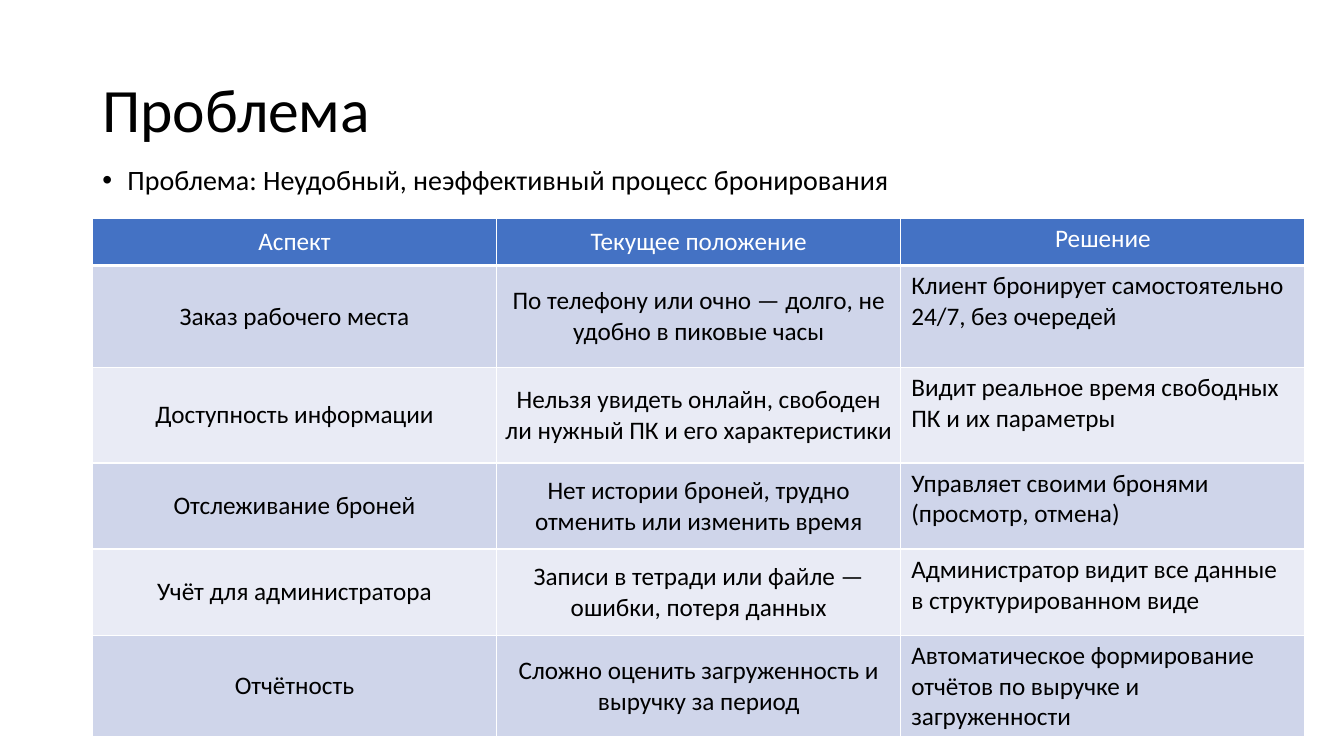
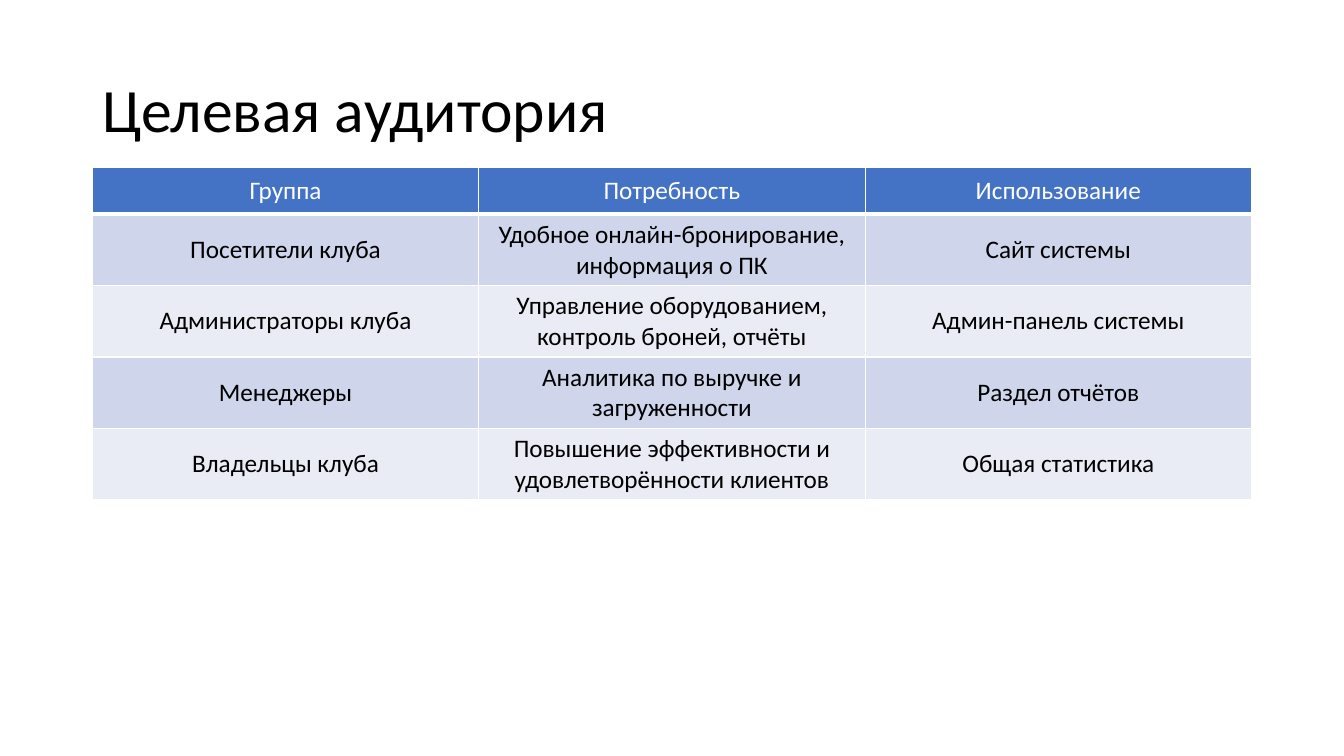
from lxml import etree
from pptx import Presentation
from pptx.dml.color import RGBColor
from pptx.enum.text import MSO_ANCHOR, PP_ALIGN
from pptx.oxml.ns import qn
from pptx.util import Pt

PX = 9525
FONT = "Calibri"
BLACK = RGBColor(0x00, 0x00, 0x00)
WHITE = RGBColor(0xFF, 0xFF, 0xFF)
HEADER_BLUE = RGBColor(0x44, 0x72, 0xC4)
BANDS = (RGBColor(0xCF, 0xD5, 0xEA), RGBColor(0xE9, 0xEB, 0xF5))
LEFT, CENTER = PP_ALIGN.LEFT, PP_ALIGN.CENTER
TOP, MIDDLE = MSO_ANCHOR.TOP, MSO_ANCHOR.MIDDLE

MARGIN_LEFT = 88
CONTENT_WIDTH = 1104
HEADER_HEIGHT = 45
THIN, THICK = 1, 3

TITLE = {"size": Pt(44), "name": FONT, "bold": False}
BULLET = {"size": Pt(20), "name": FONT, "bold": False}
CELL = {"size": Pt(18), "name": FONT, "bold": False}

HEADER_INSETS = (7, 8)
BODY_INSETS = (7, 5)
LOOSE_INSETS = (10, 5)

PROBLEM_ROWS = [
    ("Аспект", "Текущее положение", "Решение"),
    ("Заказ рабочего места",
     "По телефону или очно — долго, не удобно в пиковые часы",
     "Клиент бронирует самостоятельно 24/7, без очередей"),
    ("Доступность информации",
     "Нельзя увидеть онлайн, свободен ли нужный ПК и его характеристики",
     "Видит реальное время свободных ПК и их параметры"),
    ("Отслеживание броней",
     "Нет истории броней, трудно отменить или изменить время",
     "Управляет своими бронями (просмотр, отмена)"),
    ("Учёт для администратора",
     "Записи в тетради или файле — ошибки, потеря данных",
     "Администратор видит все данные в структурированном виде"),
    ("Отчётность",
     "Сложно оценить загруженность и выручку за период",
     "Автоматическое формирование отчётов по выручке и загруженности"),
]
PROBLEM_HEIGHTS = [HEADER_HEIGHT, 97, 91, 82, 82, 97]

AUDIENCE_ROWS = [
    ("Группа", "Потребность", "Использование"),
    ("Посетители клуба", "Удобное онлайн-бронирование, информация о ПК",
     "Сайт системы"),
    ("Администраторы клуба",
     "Управление оборудованием, контроль броней, отчёты",
     "Админ-панель системы"),
    ("Менеджеры", "Аналитика по выручке и загруженности", "Раздел отчётов"),
    ("Владельцы клуба",
     "Повышение эффективности и удовлетворённости клиентов",
     "Общая статистика"),
]
AUDIENCE_HEIGHTS = [HEADER_HEIGHT] + [68] * 4


def set_values(target, values):
    """Set every named attribute of the target."""
    for name, value in values.items():
        setattr(target, name, value)


def write(para, text, style, color):
    """Add one formatted span to a paragraph."""
    span = para.add_run()
    span.text = text
    set_values(span.font, style)
    span.font.color.rgb = color


def add_text(page, text, top, height, style, anchor):
    """Add a text box across the content width and return its paragraph."""
    box = page.shapes.add_textbox(MARGIN_LEFT * PX, top * PX,
                                  CONTENT_WIDTH * PX, height * PX)
    set_values(box.text_frame, {"word_wrap": True, "vertical_anchor": anchor})
    para = box.text_frame.paragraphs[0]
    para.line_spacing = 0.9
    write(para, text, style, BLACK)
    return para


def add_bullet(page, text, top, height):
    """Add a single bulleted line."""
    para = add_text(page, text, top, height, BULLET, TOP)
    para.space_before = Pt(10)
    properties = para._p.get_or_add_pPr()
    properties.set("marL", str(24 * PX))
    properties.set("indent", str(-24 * PX))
    font = etree.SubElement(properties, qn("a:buFont"))
    font.set("typeface", "Arial")
    etree.SubElement(properties, qn("a:buChar")).set("char", "•")


def set_borders(cell, top, bottom):
    """Draw white cell borders, with top and bottom widths in points."""
    properties = cell._tc.get_or_add_tcPr()
    widths = {"a:lnL": THIN, "a:lnR": THIN, "a:lnT": top, "a:lnB": bottom}
    for position, (tag, width) in enumerate(widths.items()):
        line = etree.Element(qn(tag), w=str(Pt(width)))
        fill = etree.SubElement(line, qn("a:solidFill"))
        etree.SubElement(fill, qn("a:srgbClr")).set("val", str(WHITE))
        properties.insert(position, line)


def format_cell(cell, text, row, loose):
    """Fill in one cell; loose cells keep wide insets and start top left."""
    header = row == 0
    insets = HEADER_INSETS if header else BODY_INSETS
    side, edge = LOOSE_INSETS if loose else insets
    set_values(cell, {
        "margin_left": side * PX, "margin_right": side * PX,
        "margin_top": edge * PX, "margin_bottom": edge * PX,
        "vertical_anchor": TOP if header or loose else MIDDLE,
    })
    cell.fill.solid()
    cell.fill.fore_color.rgb = HEADER_BLUE if header else BANDS[(row - 1) % 2]
    set_borders(cell, THICK if row == 1 else THIN, THICK if header else THIN)
    para = cell.text_frame.paragraphs[0]
    para.alignment = LEFT if loose and not header else CENTER
    write(para, text, CELL, WHITE if header else BLACK)


def add_grid(page, rows, heights, top, column_width, loose_columns=()):
    """Add a banded table with equal columns."""
    count = len(rows[0])
    table = page.shapes.add_table(
        len(rows), count, MARGIN_LEFT * PX, top * PX,
        count * column_width * PX, sum(heights) * PX).table
    for column in table.columns:
        column.width = column_width * PX
    for row, (texts, height) in enumerate(zip(rows, heights)):
        table.rows[row].height = height * PX
        for column, text in enumerate(texts):
            format_cell(table.cell(row, column), text, row,
                        column in loose_columns)


def add_page(deck, title):
    """Add a blank page with the shared title."""
    page = deck.slides.add_slide(deck.slide_layouts[6])
    add_text(page, title, 38, 139, TITLE, MIDDLE)
    return page


def main():
    """Build and save the deck."""
    deck = Presentation()
    set_values(deck, {"slide_width": 1280 * PX, "slide_height": 720 * PX})

    problem = add_page(deck, "Проблема")
    add_bullet(problem,
               "Проблема: Неудобный, неэффективный процесс бронирования",
               154, 48)
    add_grid(problem, PROBLEM_ROWS, PROBLEM_HEIGHTS, 208, 385,
             loose_columns=(2,))

    audience = add_page(deck, "Целевая аудитория")
    add_grid(audience, AUDIENCE_ROWS, AUDIENCE_HEIGHTS, 159, 368)

    deck.save("out.pptx")


if __name__ == "__main__":
    main()
